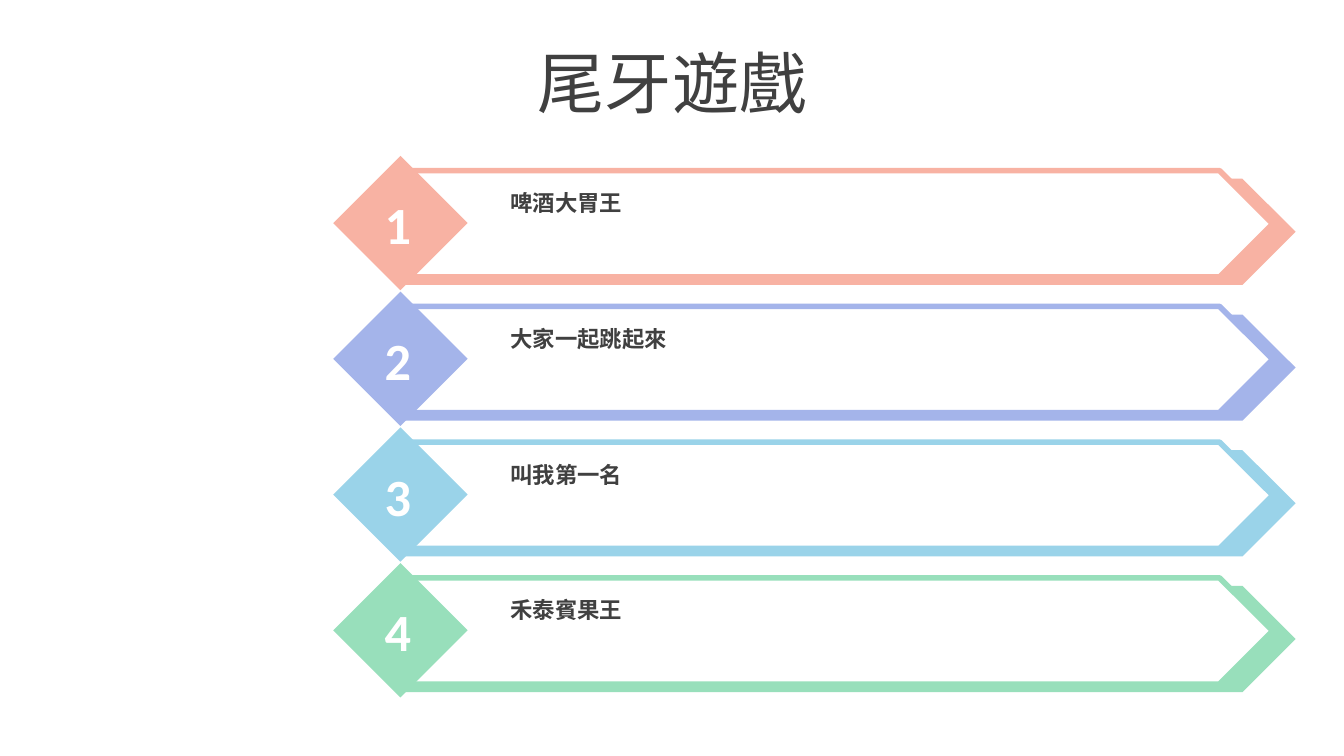
from lxml import etree
from pptx import Presentation
from pptx.dml.color import RGBColor
from pptx.enum.shapes import MSO_SHAPE
from pptx.enum.text import MSO_ANCHOR, MSO_AUTO_SIZE, PP_ALIGN
from pptx.oxml.ns import qn
from pptx.util import Inches, Pt

PENTAGON, DIAMOND = MSO_SHAPE.PENTAGON, MSO_SHAPE.DIAMOND
MIDDLE, TOP = MSO_ANCHOR.MIDDLE, MSO_ANCHOR.TOP
CENTER, LEFT = PP_ALIGN.CENTER, PP_ALIGN.LEFT
GROW, FIXED = MSO_AUTO_SIZE.SHAPE_TO_FIT_TEXT, MSO_AUTO_SIZE.NONE

WHITE = RGBColor(0xFF, 0xFF, 0xFF)
DARK = RGBColor(0x40, 0x40, 0x40)
CORAL = RGBColor(0xF8, 0xB2, 0xA3)
PERIWINKLE = RGBColor(0xA4, 0xB4, 0xEA)
SKY = RGBColor(0x9A, 0xD3, 0xE9)
MINT = RGBColor(0x98, 0xDF, 0xBB)

LATIN_FONT = "Calibri"
CHINESE_FONT = "Noto Sans CJK SC"

TITLE = "尾牙遊戲"
GAMES = [
    ("啤酒大胃王", CORAL),
    ("大家一起跳起來", PERIWINKLE),
    ("叫我第一名", SKY),
    ("禾泰賓果王", MINT),
]

SLIDE_WIDTH = 10
SLIDE_HEIGHT = SLIDE_WIDTH * 9 / 16
FIRST_ROW_TOP, ROW_PITCH = 1.16, 1.01
DIAMOND_LEFT, DIAMOND_SIZE = 2.48, 1
BANNER_LEFT, BANNER_HEIGHT = 3, 0.79


def write(shape, text, size, color, font, bold=False, align=LEFT, anchor=TOP, fit=GROW):
    frame = shape.text_frame
    frame.word_wrap = True
    frame.auto_size = fit
    frame.vertical_anchor = anchor
    paragraph = frame.paragraphs[0]
    paragraph.alignment = align
    run = paragraph.add_run()
    run.text = text
    run.font.size = Pt(size)
    run.font.bold = bold
    run.font.name = font
    run.font.color.rgb = color
    east_asian = etree.SubElement(run.font._element, qn("a:ea"))
    east_asian.set("typeface", CHINESE_FONT)


def add_filled(shapes, kind, box, fill, outline=None):
    shape = shapes.add_shape(kind, *map(Inches, box))
    shape.shadow.inherit = False
    shape.fill.solid()
    shape.fill.fore_color.rgb = fill
    if outline is None:
        shape.line.fill.background()
    else:
        shape.line.color.rgb = outline
        shape.line.width = Pt(3)


def add_game(slide, number, name, color):
    top = FIRST_ROW_TOP + (number - 1) * ROW_PITCH
    banner = slide.shapes.add_group_shape().shapes
    add_filled(banner, PENTAGON, (BANNER_LEFT, top + 0.17, 6.64, BANNER_HEIGHT), color)
    add_filled(banner, PENTAGON, (BANNER_LEFT, top + 0.11, 6.47, BANNER_HEIGHT), WHITE, color)
    add_filled(banner, DIAMOND, (DIAMOND_LEFT, top, DIAMOND_SIZE, DIAMOND_SIZE), color)

    number_box = slide.shapes.add_textbox(*map(Inches, (2.74, top + 0.22, 0.44, 0.57)))
    write(number_box, f"{number} ", 28, WHITE, LATIN_FONT, True, CENTER, MIDDLE)
    name_box = slide.shapes.add_textbox(*map(Inches, (3.7, top + 0.2, 5.2, 0.3)))
    write(name_box, name, 12, DARK, LATIN_FONT, True)


def main():
    presentation = Presentation()
    presentation.slide_width = Inches(SLIDE_WIDTH)
    presentation.slide_height = Inches(SLIDE_HEIGHT)
    slide = presentation.slides.add_slide(presentation.slide_layouts[5])

    title = slide.shapes.title
    title.left, title.top = Inches(0), Inches(0.29)
    title.width, title.height = Inches(SLIDE_WIDTH), Inches(0.63)
    write(title, TITLE, 36, DARK, CHINESE_FONT, align=CENTER, anchor=MIDDLE, fit=FIXED)

    for number, (name, color) in enumerate(GAMES, start=1):
        add_game(slide, number, name, color)
    presentation.save("out.pptx")


if __name__ == "__main__":
    main()
